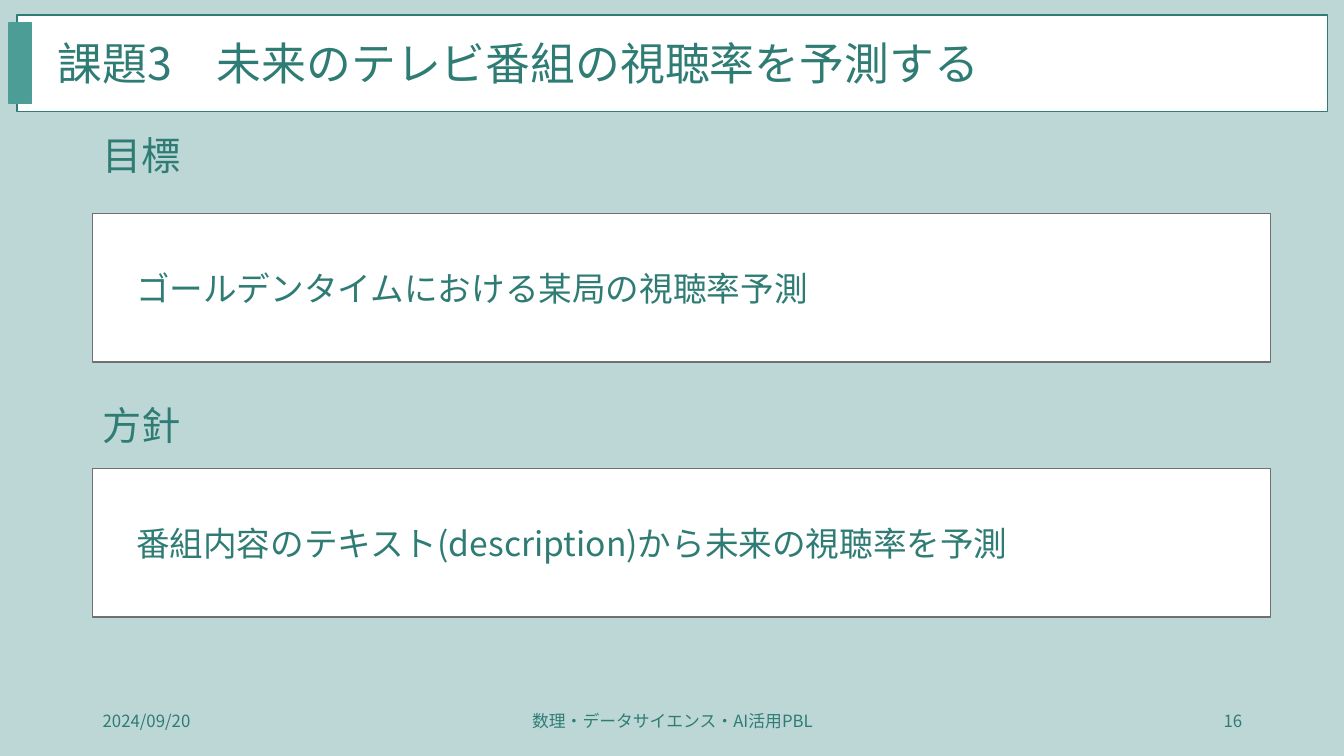
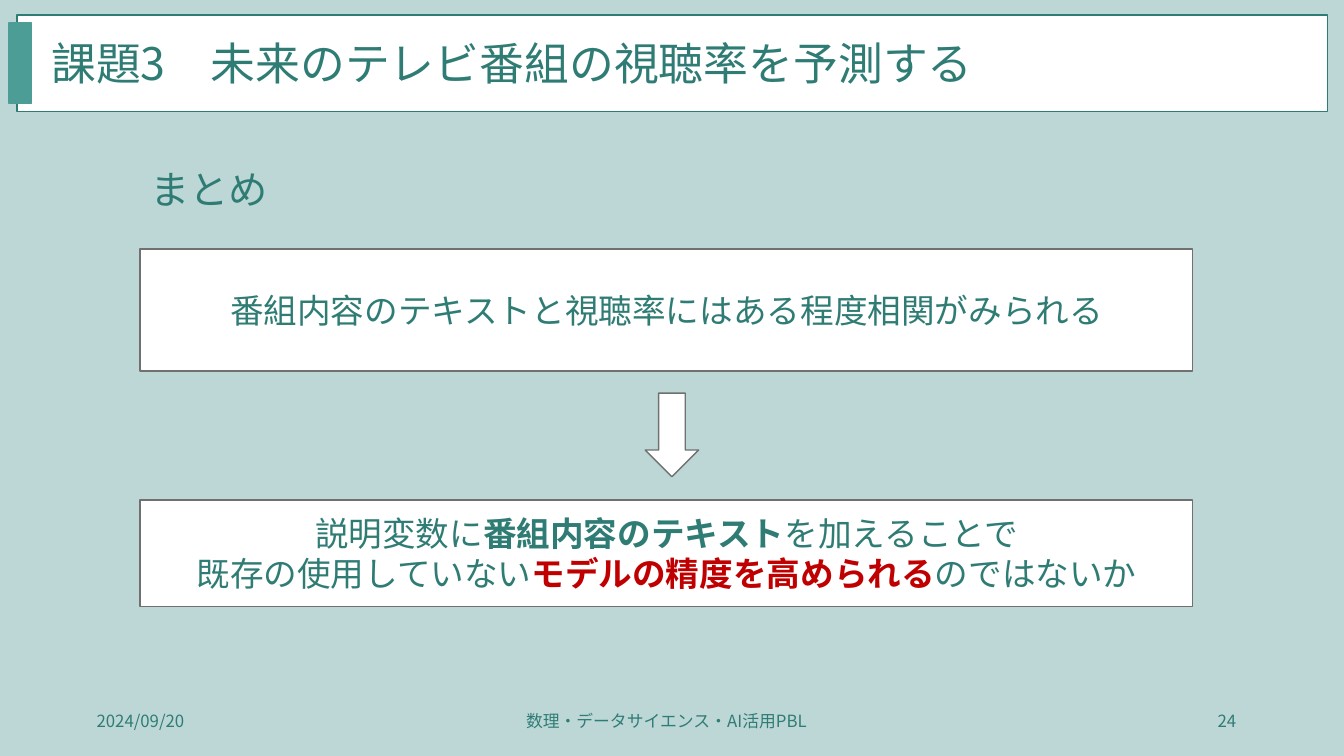
import dataclasses

import lxml.etree
import pptx
import pptx.dml.color
import pptx.enum.shapes
import pptx.enum.text
import pptx.oxml.ns
import pptx.util

Inches = pptx.util.Inches
Align = pptx.enum.text.PP_ALIGN
Anchor = pptx.enum.text.MSO_ANCHOR
Shape = pptx.enum.shapes.MSO_SHAPE


@dataclasses.dataclass(frozen=True)
class Theme:
    font: str = "Noto Sans CJK JP"
    back: str = "BDD7D6"
    white: str = "FFFFFF"
    ink: str = "2F7C75"
    tab: str = "4B9D96"
    edge: str = "707070"
    alert: str = "C00000"
    title: int = 32
    head: int = 28
    body: int = 24
    foot: int = 12


THEME = Theme()
TITLE = "課題3　未来のテレビ番組の視聴率を予測する"
DATE = "2024/09/20"
COURSE = "数理・データサイエンス・AI活用PBL"


def paint(fill, color):
    fill.solid()
    fill.fore_color.rgb = pptx.dml.color.RGBColor.from_string(color)


def write(shape, text, size=THEME.body, align=Align.LEFT, anchor=Anchor.MIDDLE, inset=0.1):
    """Fill a shape with text: a string, or a list of lines made of (words, format) runs."""
    lines = [[(text, {})]] if isinstance(text, str) else text
    frame = shape.text_frame
    frame.word_wrap = True
    frame.vertical_anchor = anchor
    frame.margin_left = Inches(inset)
    for i, line in enumerate(lines):
        para = frame.paragraphs[0] if i == 0 else frame.add_paragraph()
        para.alignment = align
        for words, style in line:
            run = para.add_run()
            run.text = words
            font = run.font
            font.size = pptx.util.Pt(size)
            font.bold = style.get("bold", False)
            paint(font.fill, style.get("color", THEME.ink))
            font.name = THEME.font
            east = lxml.etree.SubElement(font._element, pptx.oxml.ns.qn("a:ea"))
            east.set("typeface", THEME.font)


def label(slide, box, text, **style):
    write(slide.shapes.add_textbox(*map(Inches, box)), text, **style)


def block(slide, box, kind=Shape.RECTANGLE, fill=THEME.white, line=THEME.edge):
    shape = slide.shapes.add_shape(kind, *map(Inches, box))
    shape.shadow.inherit = False
    paint(shape.fill, fill)
    paint(shape.line.fill, line)
    shape.line.width = pptx.util.Pt(1)
    return shape


def panel(slide, box, text, **style):
    write(block(slide, box), text, **style)


def heading(slide, left, top, text):
    label(slide, (left, top, 6.67, 0.57), text, size=THEME.head, anchor=Anchor.TOP)


def start(deck, left, number):
    """Add a slide with title band and footer, set out from the given left edge."""
    slide = deck.slides.add_slide(deck.slide_layouts[6])
    paint(slide.background.fill, THEME.back)
    block(slide, (0.17, 0.15, 13, 0.96), line=THEME.ink)
    block(slide, (0.09, 0.23, 0.22, 0.8), fill=THEME.tab, line=THEME.tab)
    label(slide, (left - 0.45, 0.31, 12.54, 0.64), TITLE,
          size=THEME.title, anchor=Anchor.TOP)
    for shift, width, text, align in (
        (0, 3, DATE, Align.LEFT),
        (3.5, 4.5, COURSE, Align.CENTER),
        (8.5, 3, str(number), Align.RIGHT),
    ):
        label(slide, (left + shift, 6.95, width, 0.4), text,
              size=THEME.foot, align=align)
    return slide


def goals(deck):
    left = 0.92
    slide = start(deck, left, 16)
    for head, top, name, text in (
        (1.25, 2.12, "目標", "ゴールデンタイムにおける某局の視聴率予測"),
        (3.93, 4.65, "方針", "番組内容のテキスト(description)から未来の視聴率を予測"),
    ):
        heading(slide, left, head, name)
        panel(slide, (left, top, 11.68, 1.47), text, inset=0.43)


def summary(deck):
    slide = start(deck, 0.86, 24)
    left, width = 1.39, 10.44
    heading(slide, left, 1.59, "まとめ")
    panel(slide, (left, 2.47, width, 1.21),
          "番組内容のテキストと視聴率にはある程度相関がみられる", align=Align.CENTER)
    block(slide, (6.4, 3.9, 0.53, 0.83), kind=Shape.DOWN_ARROW)
    panel(slide, (left, 4.96, width, 1.06), [
        [("説明変数に", {}),
         ("番組内容のテキスト", {"bold": True}),
         ("を加えることで", {})],
        [("既存の使用していない", {}),
         ("モデルの精度を高められる", {"bold": True, "color": THEME.alert}),
         ("のではないか", {})],
    ], align=Align.CENTER)


def main():
    deck = pptx.Presentation()
    deck.slide_width = Inches(13.33)
    deck.slide_height = Inches(7.5)
    goals(deck)
    summary(deck)
    deck.save("out.pptx")


if __name__ == "__main__":
    main()
